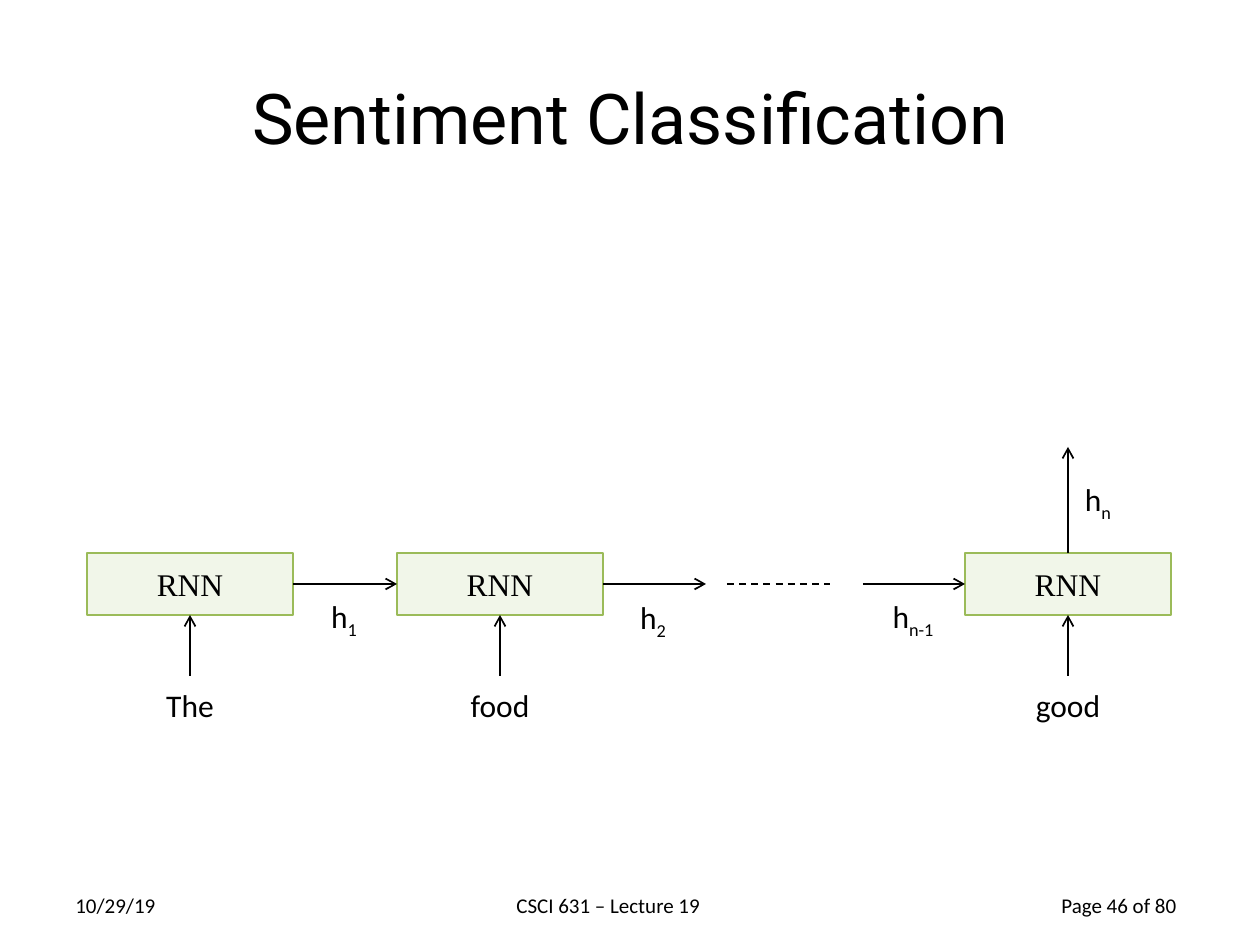
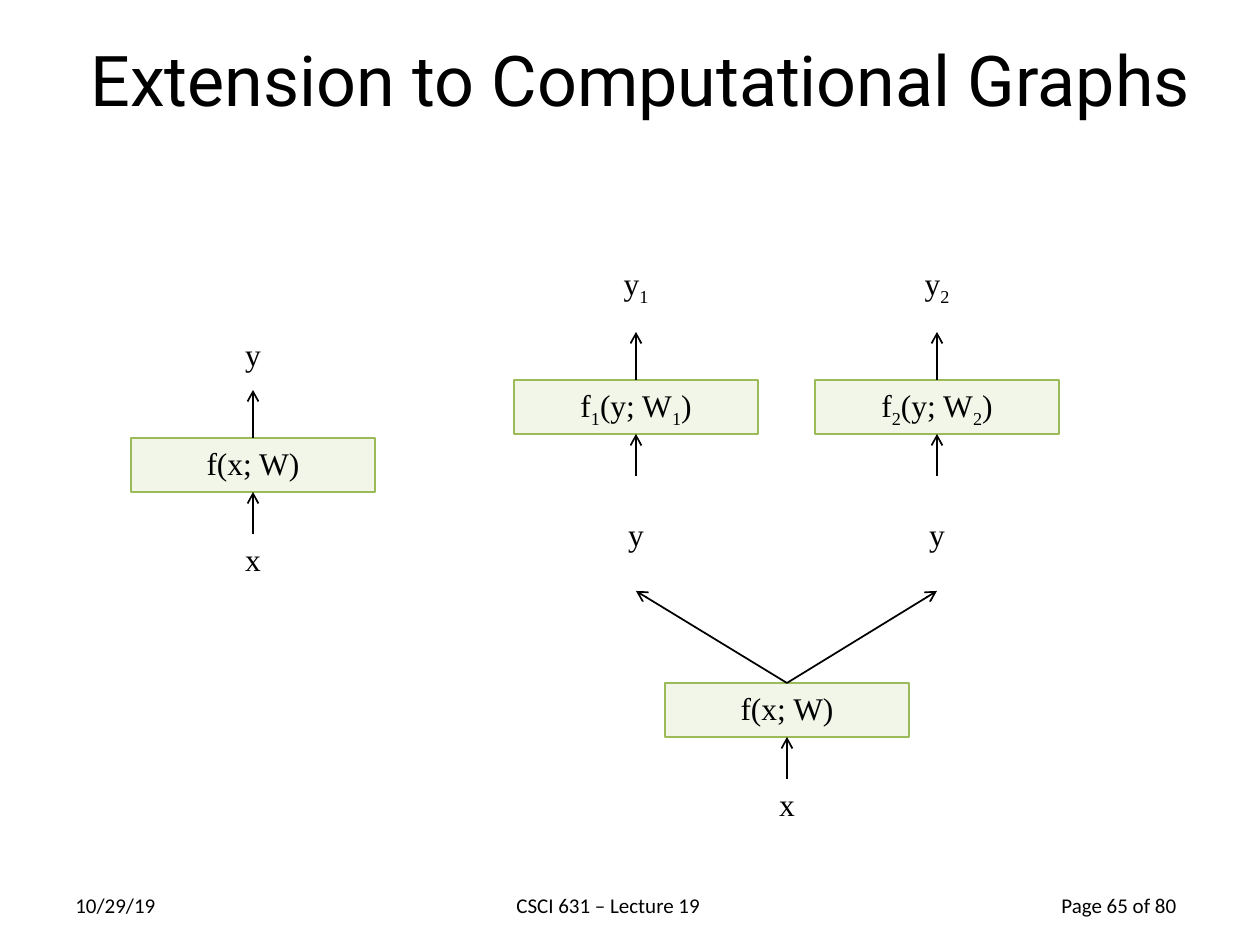
"""Build two lecture slides on recurrent networks and computational graphs."""
import dataclasses
import typing

import lxml.etree
import pptx
import pptx.dml.color
import pptx.enum.dml
import pptx.enum.shapes
import pptx.enum.text
import pptx.oxml.ns
import pptx.util

PX = 914400 / 126
BLACK = "000000"
BLOCK_FILL = "D7E4BD"
BLOCK_LINE = "9BBB59"
SANS = "Calibri"
SERIF = "Times New Roman"
TITLE_FONT = "Roboto"
TOP, LEFT, BOTTOM, RIGHT = range(4)
SIDE_OFFSETS = {TOP: (0.5, 0), LEFT: (0, 0.5), BOTTOM: (0.5, 1), RIGHT: (1, 0.5)}
CENTER = pptx.enum.text.PP_ALIGN.CENTER
MIDDLE = pptx.enum.text.MSO_ANCHOR.MIDDLE
WORD_BLOCK = (206, 62)
GRAPH_BLOCK = (244, 54)


@dataclasses.dataclass(frozen=True)
class Block:
    text: str
    left: int
    top: int
    width: int
    height: int

    @property
    def middle(self) -> int:
        return self.left + self.width // 2

    @property
    def bottom(self) -> int:
        return self.top + self.height


@dataclasses.dataclass(frozen=True)
class Label:
    text: str
    middle: int
    top: int
    width: int = 80
    height: int = 50


@dataclasses.dataclass(frozen=True)
class Point:
    x: int
    y: int


@dataclasses.dataclass(frozen=True)
class Side:
    shape: typing.Any
    site: int


def px(length: int) -> int:
    return round(length * PX)


def colour(code: str) -> pptx.dml.color.RGBColor:
    return pptx.dml.color.RGBColor.from_string(code)


def write(para: typing.Any, text: str, font: str, size: int) -> None:
    """Add runs to a paragraph; parts between underscores are subscripts."""
    for index, part in enumerate(text.split("_")):
        if not part:
            continue
        span = para.add_run()
        span.text = part
        span.font.name = font
        span.font.size = pptx.util.Pt(size)
        span.font.color.rgb = colour(BLACK)
        if index % 2:
            span.font._element.set("baseline", "-25000")


def add_text(page: typing.Any, label: Label, font: str, size: int = 18, align: typing.Any = CENTER) -> None:
    left = label.middle - label.width // 2
    box = page.shapes.add_textbox(px(left), px(label.top), px(label.width), px(label.height))
    box.text_frame.word_wrap = False
    box.text_frame.auto_size = pptx.enum.text.MSO_AUTO_SIZE.SHAPE_TO_FIT_TEXT
    para = box.text_frame.paragraphs[0]
    para.alignment = align
    write(para, label.text, font, size)


def add_block(page: typing.Any, block: Block, anchor: typing.Any) -> typing.Any:
    shape = page.shapes.add_shape(
        pptx.enum.shapes.MSO_SHAPE.RECTANGLE,
        px(block.left), px(block.top), px(block.width), px(block.height),
    )
    shape.shadow.inherit = False
    shape.fill.solid()
    shape.fill.fore_color.rgb = colour(BLOCK_FILL)
    fill = shape.fill._xPr.find(".//" + pptx.oxml.ns.qn("a:srgbClr"))
    lxml.etree.SubElement(fill, pptx.oxml.ns.qn("a:alpha"), val="33000")
    shape.line.color.rgb = colour(BLOCK_LINE)
    shape.line.width = pptx.util.Pt(0.75)
    shape.text_frame.vertical_anchor = anchor
    para = shape.text_frame.paragraphs[0]
    para.alignment = CENTER
    write(para, block.text, SERIF, 18)
    return shape


def locate(stop: Point | Side) -> tuple[int, int]:
    if isinstance(stop, Point):
        return px(stop.x), px(stop.y)
    across, down = SIDE_OFFSETS[stop.site]
    shape = stop.shape
    return round(shape.left + across * shape.width), round(shape.top + down * shape.height)


def add_link(page: typing.Any, start: Point | Side, end: Point | Side, dashed: bool = False) -> None:
    """Draw an arrow, or a plain dashed line, joined to any block sides given."""
    link = page.shapes.add_connector(
        pptx.enum.shapes.MSO_CONNECTOR.STRAIGHT, *locate(start), *locate(end)
    )
    if isinstance(start, Side):
        link.begin_connect(start.shape, start.site)
    if isinstance(end, Side):
        link.end_connect(end.shape, end.site)
    link.line.color.rgb = colour(BLACK)
    link.line.width = pptx.util.Pt(1)
    if dashed:
        link.line.dash_style = pptx.enum.dml.MSO_LINE.DASH
    else:
        outline = link.line._get_or_add_ln()
        lxml.etree.SubElement(outline, pptx.oxml.ns.qn("a:tailEnd"), type="arrow")
    lxml.etree.SubElement(link._element.spPr, pptx.oxml.ns.qn("a:effectLst"))


def add_page(deck: typing.Any, title: str, left: int, top: int, number: int) -> typing.Any:
    page = deck.slides.add_slide(deck.slide_layouts[5])
    box = page.shapes.title
    box.left, box.top, box.width, box.height = px(left), px(top), px(1134), px(157)
    box.text_frame.vertical_anchor = MIDDLE
    box.text_frame.auto_size = pptx.enum.text.MSO_AUTO_SIZE.NONE
    para = box.text_frame.paragraphs[0]
    para.alignment = CENTER
    write(para, title, TITLE_FONT, 40)
    footers = (
        Label("10/29/19", 121, 886, 116, 38),
        Label("CSCI 631 – Lecture 19", 619, 886, 230, 38),
        Label(f"Page {number} of 80", 1123, 886, 148, 38),
    )
    for footer in footers:
        add_text(page, footer, SANS, 12, pptx.enum.text.PP_ALIGN.LEFT)
    return page


def build_sentiment(deck: typing.Any) -> None:
    page = add_page(deck, "Sentiment Classification", 63, 38, 46)
    cells = []
    for word, left, width in (("The", 87, 88), ("food", 397, 94), ("good", 965, 100)):
        block = Block("RNN", left, 553, *WORD_BLOCK)
        cell = add_block(page, block, MIDDLE)
        add_link(page, Point(block.middle, block.bottom + 61), Side(cell, BOTTOM))
        add_text(page, Label(word, block.middle, 680, width), SANS)
        cells.append(cell)
    first, second, last = cells
    add_link(page, Side(first, RIGHT), Side(second, LEFT))
    add_link(page, Side(second, RIGHT), Point(706, 584))
    add_link(page, Point(727, 584), Point(830, 584), dashed=True)
    add_link(page, Point(863, 584), Side(last, LEFT))
    add_link(page, Side(last, TOP), Point(1068, 447))
    states = (
        Label("h_1_", 344, 591, 60),
        Label("h_2_", 653, 592, 60),
        Label("h_n-1_", 913, 591, 80),
        Label("h_n_", 1098, 474, 60),
    )
    for state in states:
        add_text(page, state, SANS)


def add_function(page: typing.Any, block: Block, output: bool = True) -> typing.Any:
    """Draw a function block with its input arrow and, if asked, its output arrow."""
    shape = add_block(page, block, pptx.enum.text.MSO_ANCHOR.TOP)
    add_link(page, Point(block.middle, block.bottom + 42), Side(shape, BOTTOM))
    if output:
        add_link(page, Side(shape, TOP), Point(block.middle, block.top - 48))
    return shape


def build_graphs(deck: typing.Any) -> None:
    page = add_page(deck, "Extension to Computational Graphs", 73, 0, 65)
    single = Block("f(x; W)", 131, 438, *GRAPH_BLOCK)
    shared = Block("f(x; W)", 665, 683, *GRAPH_BLOCK)
    add_function(page, single)
    source = add_function(page, shared, output=False)
    add_text(page, Label("y", single.middle, 329), SERIF)
    for block in (single, shared):
        add_text(page, Label("x", block.middle, block.bottom + 42), SERIF)
    for index, left in ((1, 514), (2, 815)):
        branch = Block(f"f_{index}_(y; W_{index}_)", left, 380, *GRAPH_BLOCK)
        add_function(page, branch)
        add_link(page, Side(source, TOP), Point(branch.middle, 591))
        add_text(page, Label("y", branch.middle, 509), SERIF)
        add_text(page, Label(f"y_{index}_", branch.middle, 258), SERIF)


def main() -> None:
    deck = pptx.Presentation()
    deck.slide_width, deck.slide_height = px(1260), px(945)
    build_sentiment(deck)
    build_graphs(deck)
    deck.save("out.pptx")


if __name__ == "__main__":
    main()
